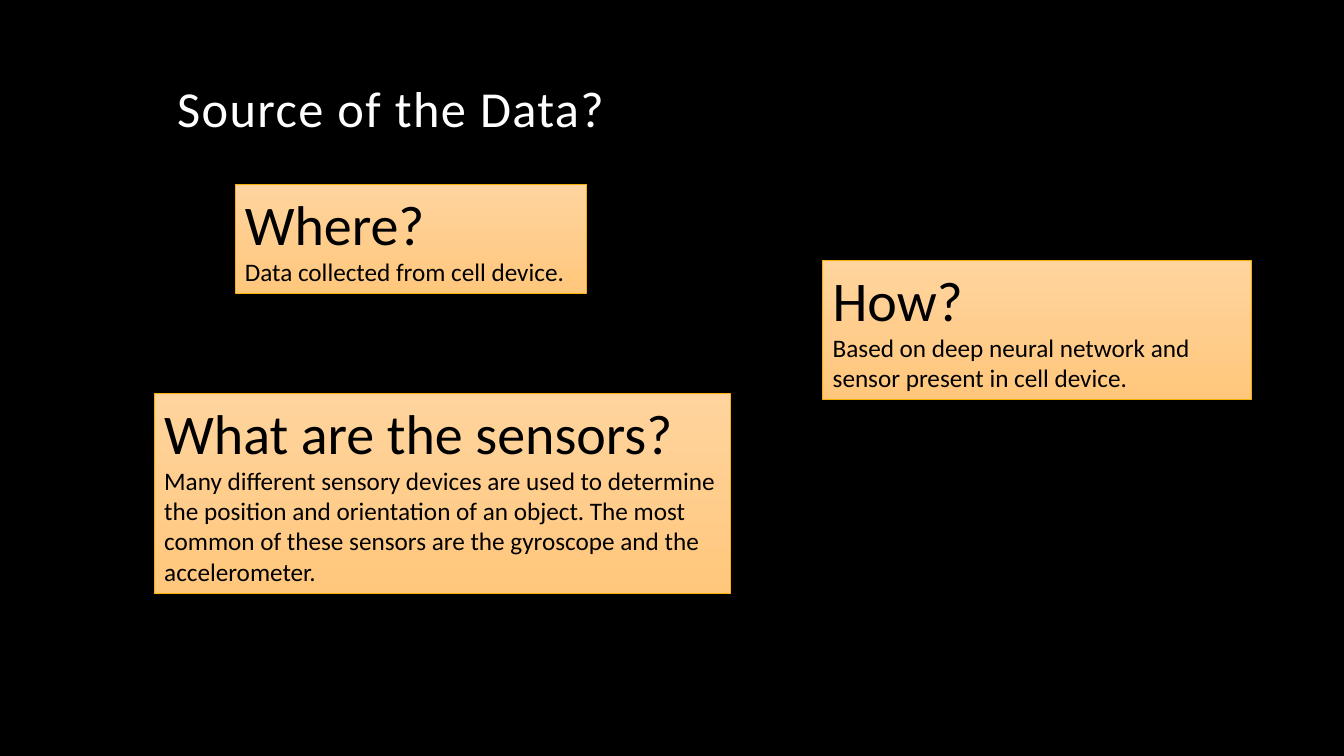
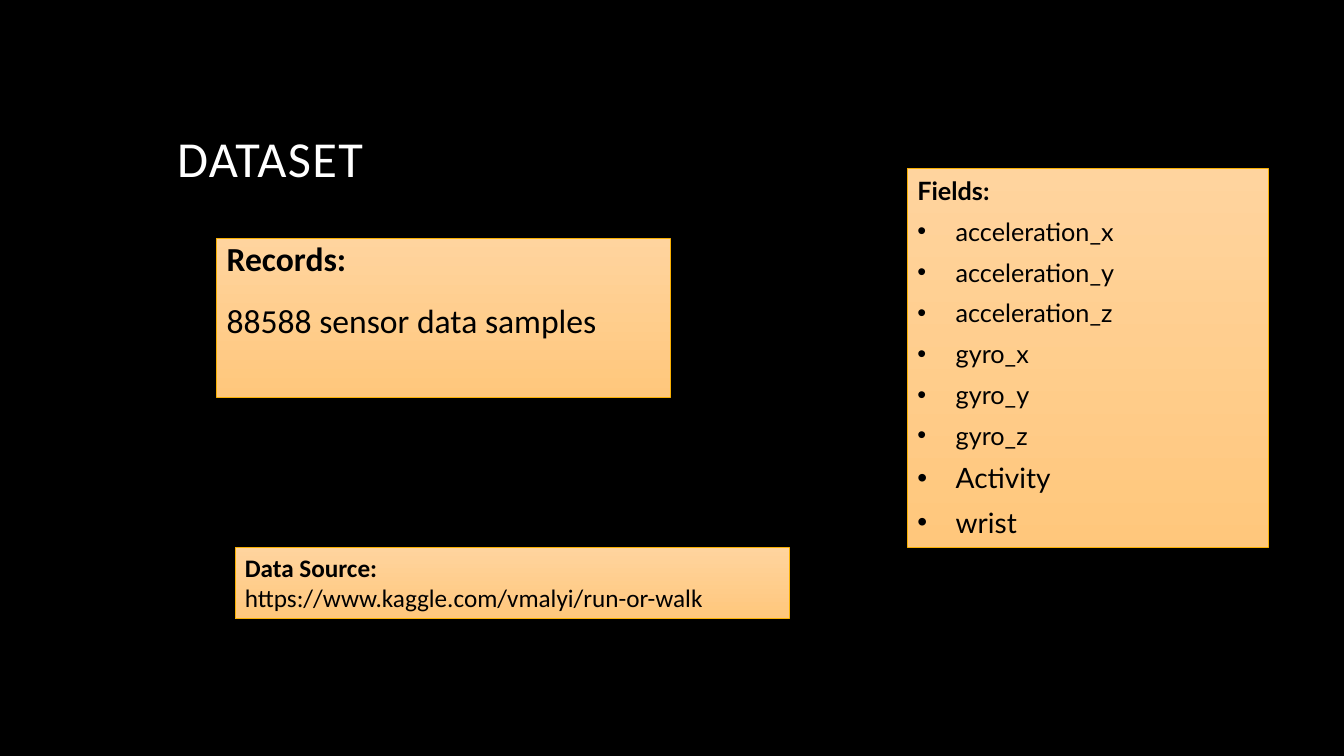
import pptx
import pptx.dml.color
import pptx.enum.shapes
import pptx.enum.text
import pptx.oxml.ns
import pptx.util
from lxml import etree

Inches = pptx.util.Inches
Pt = pptx.util.Pt

# Shared style
BLACK, WHITE = "000000", "FFFFFF"
CARD_TOP, CARD_BOTTOM, CARD_EDGE = "FFD49E", "FFC77C", "F8B004"
BODY_FONT, LIST_FONT = "Calibri", "Lato"
TITLE_SIZE, HEADING_SIZE, TEXT_SIZE = 36, 40, 18
BULLET_INDENT = 0.38


def colour(value):
    return pptx.dml.color.RGBColor.from_string(value)


def add_span(para, text, size, font=BODY_FONT, bold=False, ink=BLACK):
    span = para.add_run()
    span.text = text
    span.font.name = font
    span.font.size = Pt(size)
    span.font.bold = bold
    span.font.color.rgb = colour(ink)
    return span


def next_para(frame):
    """Use the empty first paragraph of a frame, then append new ones."""
    first = frame.paragraphs[0]
    para = frame.add_paragraph() if first.runs else first
    para.alignment = pptx.enum.text.PP_ALIGN.LEFT
    return para


def add_bullet(para):
    properties = para._p.get_or_add_pPr()
    properties.set("marL", str(Inches(BULLET_INDENT)))
    properties.set("indent", str(-Inches(BULLET_INDENT)))
    for tag, name, value in (("a:buFont", "typeface", "Arial"),
                             ("a:buChar", "char", "•")):
        child = etree.SubElement(properties, pptx.oxml.ns.qn(tag))
        child.set(name, value)


def add_page(deck, title, title_height):
    page = deck.slides.add_slide(deck.slide_layouts[6])
    box = page.shapes.add_textbox(Inches(1.66), Inches(0.42),
                                  Inches(10), Inches(title_height))
    frame = box.text_frame
    frame.word_wrap = True
    frame.vertical_anchor = pptx.enum.text.MSO_ANCHOR.BOTTOM
    para = next_para(frame)
    para.line_spacing = 0.9
    span = add_span(para, title, TITLE_SIZE, ink=WHITE)
    span._r.get_or_add_rPr().set("spc", "100")
    return page


def add_card(page, left, top, width, height):
    """Add an orange card and return its text frame."""
    card = page.shapes.add_shape(
        pptx.enum.shapes.MSO_SHAPE.RECTANGLE,
        Inches(left), Inches(top), Inches(width), Inches(height))
    card.shadow.inherit = False
    card.fill.gradient()
    card.fill.gradient_angle = 270
    for stop, shade in zip(card.fill.gradient_stops, (CARD_TOP, CARD_BOTTOM)):
        stop.color.rgb = colour(shade)
    card.line.color.rgb = colour(CARD_EDGE)
    card.line.width = Pt(0.5)
    frame = card.text_frame
    frame.word_wrap = True
    frame.vertical_anchor = pptx.enum.text.MSO_ANCHOR.TOP
    return frame


def add_question(page, place, question, answer):
    frame = add_card(page, *place)
    add_span(next_para(frame), question, HEADING_SIZE)
    add_span(next_para(frame), answer, TEXT_SIZE)


def add_fact(page, place, label, fact, size, line_spacing=1.0, gap=0):
    frame = add_card(page, *place)
    for text, bold, before in ((label, True, 0), (fact, False, gap)):
        para = next_para(frame)
        para.line_spacing = line_spacing
        para.space_before = Pt(before)
        add_span(para, text, size, bold=bold)


def add_field_list(page, place, label, fields):
    frame = add_card(page, *place)
    for index, (text, size) in enumerate([(label, TEXT_SIZE)] + fields):
        para = next_para(frame)
        if index:
            add_bullet(para)
        para.line_spacing = 1.07
        para.space_before = Pt(3 if index else 0)
        para.space_after = Pt(3)
        add_span(para, text, size, LIST_FONT, bold=index == 0)


def build_source_page(deck):
    page = add_page(deck, "Source of the Data?", 1)
    add_question(page, (8.16, 2.58, 4.25, 1.38), "How?",
                 "Based on deep neural network and sensor present in "
                 "cell device.")
    add_question(page, (1.53, 3.9, 5.71, 1.99), "What are the sensors?",
                 "Many different sensory devices are used to determine the "
                 "position and orientation of an object. The most common of "
                 "these sensors are the gyroscope and the accelerometer.")
    add_question(page, (2.33, 1.83, 3.49, 1.08), "Where?",
                 "Data collected from cell device.")


def build_dataset_page(deck):
    page = add_page(deck, "DATASET", 1.5)
    add_fact(page, (2.15, 2.36, 4.5, 1.58), "Records:",
             "88588 sensor data samples", 24, line_spacing=0.9, gap=18)
    fields = [(f"{sensor}_{axis}", TEXT_SIZE)
              for sensor in ("acceleration", "gyro") for axis in "xyz"]
    fields += [("Activity", 20), ("wrist", 20)]
    add_field_list(page, (9, 1.67, 3.58, 3.76), "Fields:", fields)
    add_fact(page, (2.33, 5.43, 5.5, 0.71), "Data Source:",
             "https://www.kaggle.com/vmalyi/run-or-walk", TEXT_SIZE)


def main():
    deck = pptx.Presentation()
    deck.slide_width, deck.slide_height = Inches(13.33), Inches(7.5)
    # One black background on the master serves every page
    backdrop = deck.slide_master.background.fill
    backdrop.solid()
    backdrop.fore_color.rgb = colour(BLACK)
    build_source_page(deck)
    build_dataset_page(deck)
    deck.save("out.pptx")


if __name__ == "__main__":
    main()
